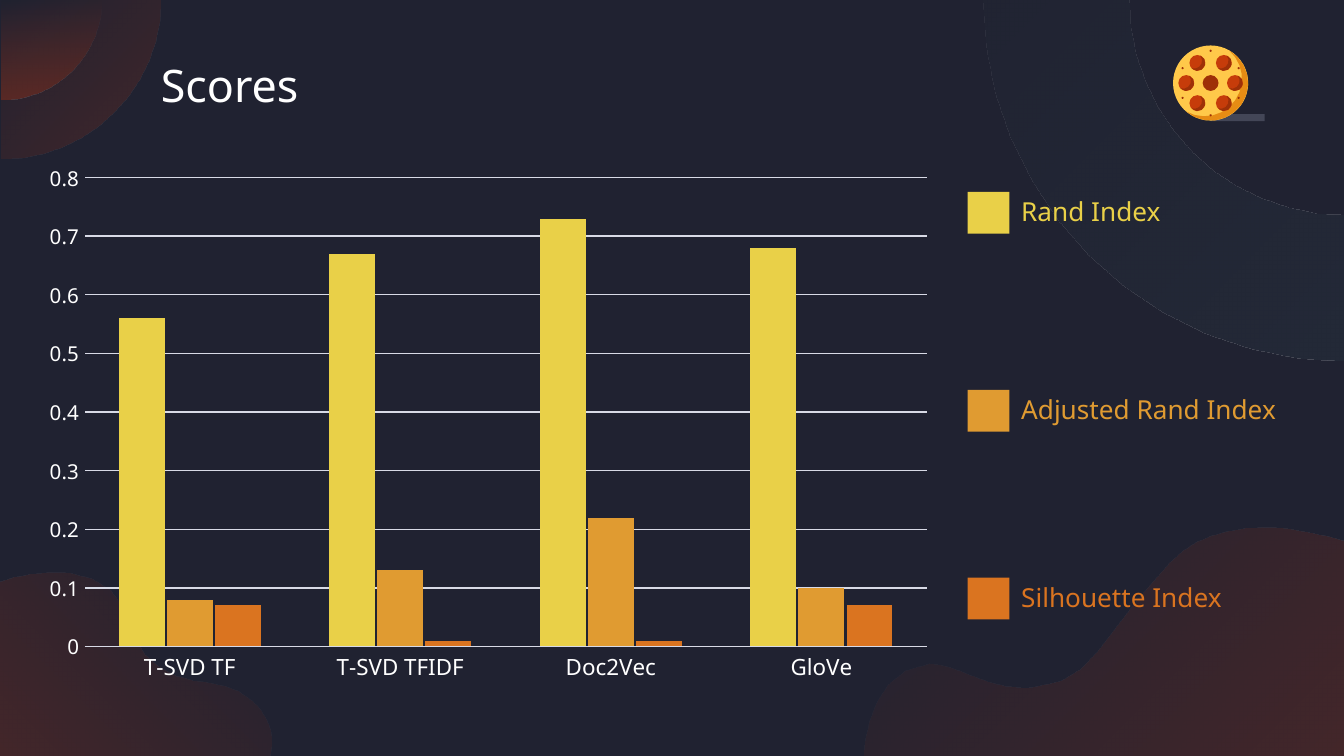
from dataclasses import dataclass
from itertools import product
from math import acos, cos, pi, radians, sin

from lxml.etree import SubElement
from pptx import Presentation
from pptx.chart.data import CategoryChartData
from pptx.dml.color import RGBColor as Rgb
from pptx.enum.chart import XL_CHART_TYPE as ChartType, XL_TICK_MARK as TickMark
from pptx.enum.shapes import MSO_SHAPE as Preset
from pptx.enum.text import MSO_ANCHOR as Anchor, PP_ALIGN as Align
from pptx.oxml import parse_xml
from pptx.oxml.ns import nsdecls, qn
from pptx.util import Cm, Pt

Point = tuple[float, float]


@dataclass(frozen=True)
class Theme:
    font: str = "Noto Sans"
    background: str = "202231"
    text: str = "FFFFFF"
    grid: str = "D8DAE6"
    ember: str = "9C3218"
    slate: str = "252C3A"
    icon_shadow: str = "434657"
    cheese: str = "FFC94A"
    crust: str = "E68C14"
    topping: str = "C63C0A"
    topping_dark: str = "9E3007"
    title_size: int = 24
    legend_size: int = 14
    category_size: int = 12
    value_size: int = 11


@dataclass(frozen=True)
class Backdrop:
    outline: list[Point]
    color: str
    alphas: tuple[int, int]  # percent at start and end
    angle: int  # counter-clockwise degrees


@dataclass(frozen=True)
class Score:
    label: str
    color: str
    values: tuple[float, ...]
    top: float  # of the legend swatch


THEME = Theme()
WIDTH, HEIGHT = 25.4, 14.29
CATEGORIES = ["T-SVD TF", "T-SVD TFIDF", "Doc2Vec", "GloVe"]
SCORES = [
    Score("Rand Index", "E9D048", (0.56, 0.67, 0.73, 0.68), 3.63),
    Score("Adjusted Rand Index", "E09B31", (0.08, 0.13, 0.22, 0.1), 7.37),
    Score("Silhouette Index", "DA7420", (0.07, 0.01, 0.01, 0.07), 10.92),
]


def arc(center: Point, radius: float, start: float, end: float, steps: int = 12) -> list[Point]:
    """Points on a circle between two angles in radians, clockwise on the slide."""
    angles = [start + (end - start) * i / steps for i in range(steps + 1)]
    return [(center[0] + radius * cos(a), center[1] + radius * sin(a)) for a in angles]


def trace(start: Point, *segments: tuple[Point, ...], steps: int = 6) -> list[Point]:
    """Follow lines (one point) and cubic curves (three points)."""
    points = [start]
    for segment in segments:
        if len(segment) == 1:
            points.append(segment[0])
            continue
        nodes = (points[-1], *segment)
        for i in range(1, steps + 1):
            t = i / steps
            weights = ((1 - t) ** 3, 3 * t * (1 - t) ** 2, 3 * t * t * (1 - t), t ** 3)
            points.append(tuple(sum(w * n[axis] for w, n in zip(weights, nodes)) for axis in (0, 1)))
    return points


def paint(shape, color: str) -> None:
    shape.shadow.inherit = False
    shape.fill.solid()
    shape.fill.fore_color.rgb = Rgb.from_string(color)
    shape.line.fill.background()


def style_font(font, size: int, color: str) -> None:
    font.name, font.size, font.bold = THEME.font, Pt(size), False
    font.color.rgb = Rgb.from_string(color)


def add_outline(shapes, points: list[Point], color: str):
    (left, top), *others = [(Cm(x), Cm(y)) for x, y in points]
    builder = shapes.build_freeform(left, top)
    builder.add_line_segments(others, close=True)
    shape = builder.convert_to_shape()
    paint(shape, color)
    return shape


def add_preset(shapes, preset: Preset, left: float, top: float, width: float, height: float, color: str) -> None:
    paint(shapes.add_shape(preset, Cm(left), Cm(top), Cm(width), Cm(height)), color)


def add_disc(shapes, center: Point, radius: float, color: str) -> None:
    add_preset(shapes, Preset.OVAL, center[0] - radius, center[1] - radius, 2 * radius, 2 * radius, color)


def add_crescent(shapes, center: Point, radius: float, shift: float, color: str, steps: int) -> None:
    """Part of a disc left uncovered by the same disc moved up and left."""
    facing, spread = radians(35), acos(-shift / 2)
    inner = (center[0] - shift * radius * cos(facing), center[1] - shift * radius * sin(facing))
    points = arc(center, radius, facing - spread, facing + spread, steps)
    points += arc(inner, radius, facing + pi - spread, facing - pi + spread, steps)
    add_outline(shapes, points, color)


def add_backdrop(shapes, backdrop: Backdrop) -> None:
    shape = add_outline(shapes, backdrop.outline, backdrop.color)
    shape.fill.gradient()
    shape.fill.gradient_angle = backdrop.angle
    for position, stop in enumerate(shape.fill.gradient_stops):
        stop.position = position
        stop.color.rgb = Rgb.from_string(backdrop.color)
    colors = list(shape.element.spPr.iter(qn("a:srgbClr")))
    for color, alpha in zip(colors, backdrop.alphas):
        SubElement(color, qn("a:alpha")).set("val", str(alpha * 1000))


def write_line(shape, text: str, size: int, color: str) -> None:
    frame = shape.text_frame
    frame.word_wrap, frame.vertical_anchor = True, Anchor.MIDDLE
    frame.margin_left = frame.margin_right = frame.margin_top = frame.margin_bottom = Cm(0.25)
    paragraph = frame.paragraphs[0]
    paragraph.text, paragraph.alignment = text, Align.LEFT
    style_font(paragraph.font, size, color)


def add_legend_entry(shapes, score: Score) -> None:
    add_preset(shapes, Preset.RECTANGLE, 18.29, score.top, 0.79, 0.79, score.color)
    label = shapes.add_textbox(Cm(19.05), Cm(score.top - 0.22), Cm(6.22), Cm(1.17))
    write_line(label, score.label, THEME.legend_size, score.color)


def add_score_chart(shapes) -> None:
    data = CategoryChartData()
    data.categories = CATEGORIES
    for score in SCORES:
        data.add_series(score.label, score.values)
    chart = shapes.add_chart(ChartType.COLUMN_CLUSTERED, Cm(0.56), Cm(2.95), Cm(17.3), Cm(10.19), data).chart
    chart.has_legend = chart.has_title = False
    plot = chart.plots[0]
    plot.gap_width, plot.overlap, plot.vary_by_categories = 150, -5, False
    for series, score in zip(plot.series, SCORES):
        series.format.fill.solid()
        series.format.fill.fore_color.rgb = Rgb.from_string(score.color)

    categories, values = chart.category_axis, chart.value_axis
    values.minimum_scale, values.maximum_scale, values.major_unit = 0, 0.8, 0.1
    values.has_major_gridlines = True
    values.format.line.fill.background()
    for axis, size in ((categories, THEME.category_size), (values, THEME.value_size)):
        axis.major_tick_mark = axis.minor_tick_mark = TickMark.NONE
        style_font(axis.tick_labels.font, size, THEME.text)
    for line in (categories.format.line, values.major_gridlines.format.line):
        line.width = Pt(0.75)
        line.color.rgb = Rgb.from_string(THEME.grid)

    # Fixed inner plot area, as fractions of the chart
    area = chart._chartSpace.find(".//" + qn("c:plotArea"))
    for old_layout in area.findall(qn("c:layout")):
        area.remove(old_layout)
    box = "".join(f'<c:{key} val="{value}"/>' for key, value in
                  (("x", 0.06), ("y", 0.04), ("w", 0.92), ("h", 0.87)))
    area.insert(0, parse_xml(
        f'<c:layout {nsdecls("c")}><c:manualLayout><c:layoutTarget val="inner"/>'
        f'<c:xMode val="edge"/><c:yMode val="edge"/>{box}</c:manualLayout></c:layout>'))


def add_pizza(shapes) -> None:
    x, y = 22.88, 1.57
    pizza = shapes.add_group_shape().shapes
    add_preset(pizza, Preset.RECTANGLE, x, 2.16, 1.02, 0.13, THEME.icon_shadow)
    add_disc(pizza, (x, y), 0.71, THEME.cheese)
    add_crescent(pizza, (x, y), 0.71, 0.2, THEME.crust, 12)
    signs = list(product((-1, 1), repeat=2))
    for dx, dy in [(-0.46, 0), (0.46, 0)] + [(0.25 * h, 0.38 * v) for h, v in signs]:
        add_disc(pizza, (x + dx, y + dy), 0.15, THEME.topping)
        add_crescent(pizza, (x + dx, y + dy), 0.15, 0.5, THEME.topping_dark, 5)
    add_disc(pizza, (x, y), 0.15, THEME.topping_dark)
    for dx, dy in [(0, -0.61), (0, 0.61)] + [(0.53 * h, 0.28 * v) for h, v in signs]:
        add_disc(pizza, (x + dx, y + dy), 0.02, THEME.topping_dark)


def backdrops() -> list[Backdrop]:
    corner, far_corner = (0.03, 0), (WIDTH, 0)
    right_wave = trace(
        (23.83, 9.98), ((23.19, 9.98), (22.56, 10.16), (22.1, 10.64)),
        ((20.68, 12.14), (20.7, 12.85), (19.56, 12.98)), ((19.33, 13),),
        ((18.57, 13), (18.08, 12.55), (17.55, 12.55)), ((17.12, 12.67),),
        ((16.33, 13.08), (16.33, HEIGHT), (16.33, HEIGHT)), ((WIDTH, HEIGHT),), ((WIDTH, 10.24),),
        ((24.92, 10.11), (24.36, 9.98), (23.83, 9.98)))
    left_wave = trace(
        (5.13, 14.02), ((5.13, 13.82), (5.05, 13.51), (4.75, 13.23)),
        ((4.22, 12.75), (3.66, 13.03), (3, 12.6)), ((2.31, 12.19), (2.59, 11.28), (1.75, 10.95)),
        ((0.94, 10.64), (0, 11), (0, 11)), ((0, HEIGHT),), ((5.08, HEIGHT),))
    ring = arc(far_corner, 6.81, pi, pi / 2) + arc(far_corner, 4.06, pi / 2, pi)
    return [
        Backdrop([corner] + arc(corner, 3, 0, pi / 2), THEME.ember, (29, 0), 135),
        Backdrop([corner] + arc(corner, 1.88, 0, pi / 2), THEME.ember, (41, 0), 90),
        Backdrop(ring, THEME.slate, (75, 20), 135),
        Backdrop(right_wave, THEME.ember, (29, 0), 135),
        Backdrop(left_wave, THEME.ember, (29, 0), 45),
    ]


def main() -> None:
    presentation = Presentation()
    presentation.slide_width, presentation.slide_height = Cm(WIDTH), Cm(HEIGHT)
    slide = presentation.slides.add_slide(presentation.slide_layouts[5])
    slide.background.fill.solid()
    slide.background.fill.fore_color.rgb = Rgb.from_string(THEME.background)
    shapes = slide.shapes

    # Decoration
    for backdrop in backdrops():
        add_backdrop(shapes, backdrop)

    # Title
    title = shapes.title
    title.left, title.top, title.width, title.height = Cm(2.79), Cm(0.79), Cm(21.54), Cm(1.6)
    write_line(title, "Scores", THEME.title_size, THEME.text)

    # Chart, its legend and the icon
    add_score_chart(shapes)
    for score in SCORES:
        add_legend_entry(shapes, score)
    add_pizza(shapes)
    presentation.save("out.pptx")


if __name__ == "__main__":
    main()
